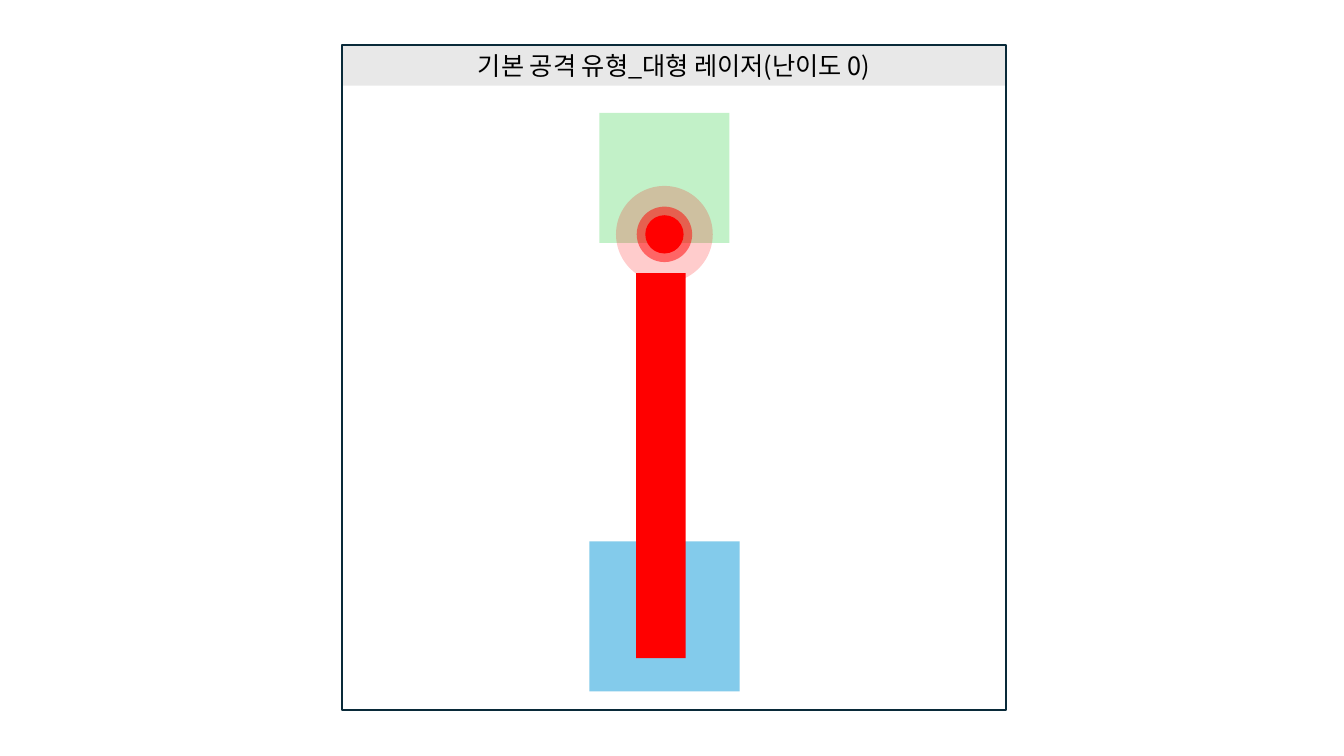
from dataclasses import dataclass
from typing import Optional

from lxml.etree import SubElement
from pptx import Presentation
from pptx.dml.color import RGBColor
from pptx.enum.shapes import MSO_SHAPE as Preset
from pptx.enum.text import MSO_ANCHOR as Anchor, PP_ALIGN as Align
from pptx.oxml.ns import qn
from pptx.shapes.autoshape import Shape
from pptx.shapes.group import GroupShape
from pptx.util import Inches, Pt

CELL = 0.1  # side of one grid cell, in inches
AXIS = 65.9  # grid column on which the squares and the glow are centred


@dataclass(frozen=True)
class Theme:
    font: str = "Noto Sans CJK KR"
    title_size: float = 18
    frame_width: float = 1.5
    text: str = "000000"
    header: str = "E8E8E8"
    frame: str = "092A39"
    player: str = "83CBEB"
    enemy: str = "C2F1C8"
    laser: str = "FF0000"


@dataclass(frozen=True)
class Part:
    """A preset shape, placed in grid columns and rows."""
    column: float
    row: float
    columns: float
    rows: float
    fill: Optional[str] = None
    line: Optional[str] = None
    opacity: int = 100
    preset: Preset = Preset.RECTANGLE


THEME = Theme()


def centred(row: float, size: float, fill: str, opacity: int = 100,
            preset: Preset = Preset.RECTANGLE) -> Part:
    """An equal-sided part whose middle lies on the axis at the given row."""
    return Part(AXIS - size / 2, row - size / 2, size, size, fill,
                opacity=opacity, preset=preset)


def draw(group: GroupShape, part: Part) -> Shape:
    box = (part.column, part.row, part.columns, part.rows)
    shape = group.shapes.add_shape(part.preset, *(Inches(CELL * n) for n in box))
    shape.shadow.inherit = False
    if part.fill:
        shape.fill.solid()
        shape.fill.fore_color.rgb = RGBColor.from_string(part.fill)
    else:
        shape.fill.background()
    if part.opacity < 100:
        color = shape.fill._xPr.find(f".//{qn('a:srgbClr')}")
        SubElement(color, qn("a:alpha"), val=str(part.opacity * 1000))
    if part.line:
        shape.line.color.rgb = RGBColor.from_string(part.line)
        shape.line.width = Pt(THEME.frame_width)
    else:
        shape.line.fill.background()
    return shape


def write_title(shape: Shape, text: str) -> None:
    frame = shape.text_frame
    for name, value in {"word_wrap": True, "vertical_anchor": Anchor.MIDDLE}.items():
        setattr(frame, name, value)
    paragraph = frame.paragraphs[0]
    paragraph.alignment = Align.CENTER
    run = paragraph.add_run()
    run.text = text
    for name, value in {"size": Pt(THEME.title_size), "name": THEME.font}.items():
        setattr(run.font, name, value)
    run.font.color.rgb = RGBColor.from_string(THEME.text)
    # Korean letters take the East Asian font
    SubElement(run.font._element, qn("a:ea"), typeface=THEME.font)


def main() -> None:
    presentation = Presentation()
    presentation.slide_width = Inches(13.33)
    presentation.slide_height = Inches(7.5)
    slide = presentation.slides.add_slide(presentation.slide_layouts[6])
    diagram = slide.shapes.add_group_shape()

    # Title band
    header = draw(diagram, Part(33.9, 4.5, 65.9, 4, THEME.header))
    write_title(header, "기본 공격 유형_대형 레이저(난이도 0)")

    # Player, enemy and arena frame
    draw(diagram, centred(61.15, 14.9, THEME.player))
    draw(diagram, centred(17.65, 12.9, THEME.enemy))
    draw(diagram, Part(33.9, 4.5, 65.9, 65.9, line=THEME.frame))

    # Muzzle glow: solid core and two fading rings
    for size, opacity in ((3.8, 100), (5.5, 50), (9.6, 20)):
        draw(diagram, centred(23.25, size, THEME.laser, opacity, Preset.OVAL))

    # Laser beam
    draw(diagram, Part(63.1, 27.1, 4.9, 38.2, THEME.laser))

    presentation.save("out.pptx")


if __name__ == "__main__":
    main()
